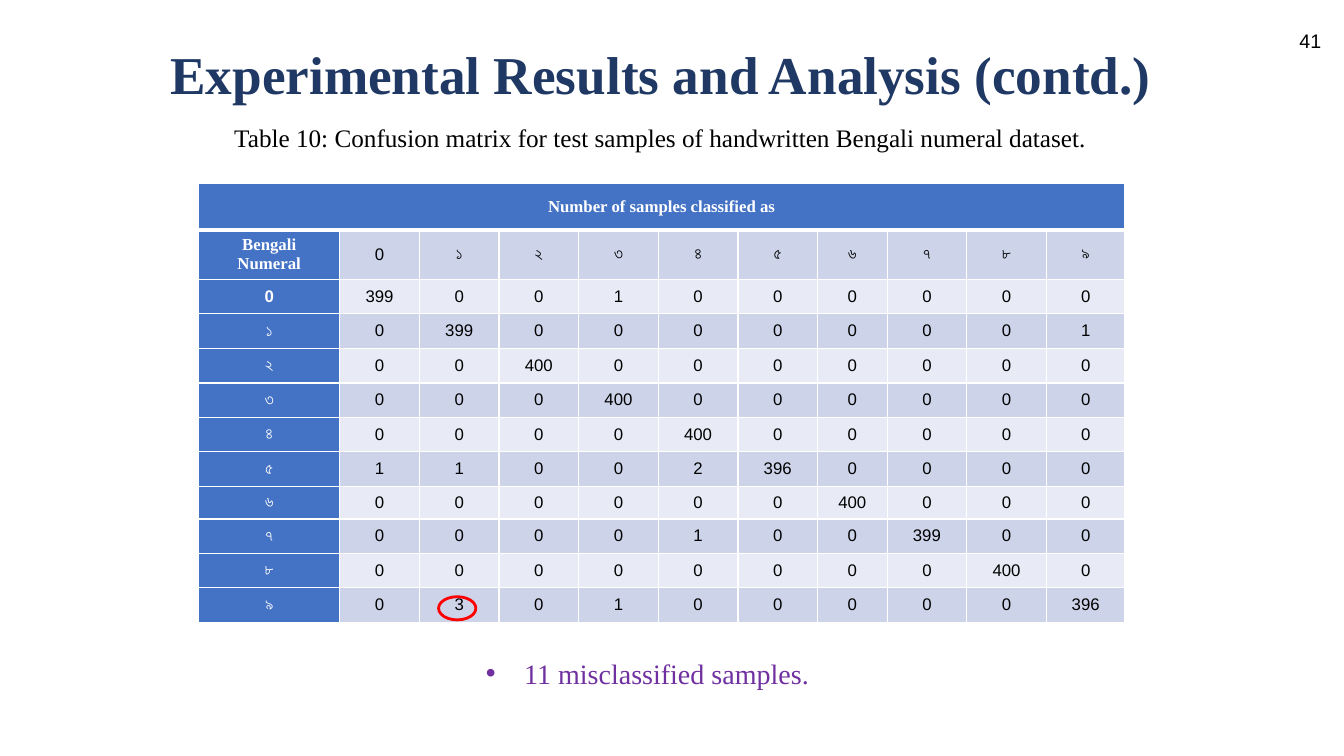
from lxml import etree
from pptx import Presentation
from pptx import util as u
from pptx.dml.color import RGBColor
from pptx.enum import shapes, text
from pptx.oxml import ns

PX = 9144  # EMU per px, 100 px to the inch
COLORS = {
    "navy": "1F3864", "black": "000000", "white": "FFFFFF", "purple": "7030A0",
    "red": "FF0000", "head": "4472C4", "dark": "CDD4EA", "light": "E8EBF5",
}
SERIF, SANS = "Times New Roman", "Arial"
CENTER = text.PP_ALIGN.CENTER
NUMERALS = "0১২৩৪৫৬৭৮৯"
CORRECT = [399, 399, 400, 400, 400, 396, 400, 399, 400, 396]
MISTAKES = {(0, 3): 1, (1, 9): 1, (5, 0): 1, (5, 1): 1, (5, 4): 2,
            (7, 4): 1, (9, 1): 3, (9, 3): 1}
COL_WIDTHS = [140] + [79] * 6 + [69, 79, 79, 78]
ROW_HEIGHTS = [46, 49, 34, 35, 34, 34, 34, 35, 32, 34, 34, 35]


def px(*values):
    return [u.Emu(v * PX) for v in values]


def rgb(name):
    return RGBColor.from_string(COLORS[name])


def write(tf, content, size=12, font=SERIF, color="black", bold=False,
          align=None, spacing=None):
    """Fill a text frame, one paragraph a line."""
    for i, line in enumerate(content.split("\n")):
        p = tf.add_paragraph() if i else tf.paragraphs[0]
        p.alignment = align
        p.line_spacing = spacing
        r = p.add_run()
        r.text = line
        r.font.size, r.font.name, r.font.bold = u.Pt(size), font, bold
        r.font.color.rgb = rgb(color)


def add_text(s, box, content, inset=5, anchor=text.MSO_ANCHOR.TOP, **fmt):
    tf = s.shapes.add_textbox(*px(*box)).text_frame
    tf.word_wrap = True
    tf.vertical_anchor = anchor
    tf.margin_left, tf.margin_right = px(10, 10)
    tf.margin_top, tf.margin_bottom = px(inset, inset)
    write(tf, content, **fmt)
    return tf


def add_bullet(p, color, indent):
    pPr = p._p.get_or_add_pPr()
    pPr.set("marL", str(indent * PX))
    pPr.set("indent", str(-indent * PX))
    clr = etree.SubElement(pPr, ns.qn("a:buClr"))
    etree.SubElement(clr, ns.qn("a:srgbClr"), val=COLORS[color])
    etree.SubElement(pPr, ns.qn("a:buFont"), typeface=SANS)
    etree.SubElement(pPr, ns.qn("a:buChar"), char="•")


def set_borders(cell, **widths):
    tcPr = cell._tc.get_or_add_tcPr()
    for side in "LRTB":
        ln = etree.SubElement(tcPr, ns.qn(f"a:ln{side}"),
                              w=str(u.Pt(widths.get(side, 1))))
        fill = etree.SubElement(ln, ns.qn("a:solidFill"))
        etree.SubElement(fill, ns.qn("a:srgbClr"), val=COLORS["white"])


def fill_cell(cell, content, fill, borders, **fmt):
    set_borders(cell, **borders)
    cell.fill.solid()
    cell.fill.fore_color.rgb = rgb(fill)
    cell.vertical_anchor = text.MSO_ANCHOR.MIDDLE
    cell.margin_left, cell.margin_right = px(7, 7)
    cell.margin_top = cell.margin_bottom = 0
    write(cell.text_frame, content, align=CENTER, **fmt)


def matrix_rows():
    yield ["Number of samples classified as"] + [""] * len(NUMERALS)
    yield ["Bengali\nNumeral", *NUMERALS]
    for i, numeral in enumerate(NUMERALS):
        yield [numeral] + [str(CORRECT[i] if i == j else MISTAKES.get((i, j), 0))
                           for j in range(len(NUMERALS))]


def add_matrix(s, left, top):
    size = px(left, top, sum(COL_WIDTHS), sum(ROW_HEIGHTS))
    table = s.shapes.add_table(len(ROW_HEIGHTS), len(COL_WIDTHS), *size).table
    for col, width in zip(table.columns, COL_WIDTHS):
        col.width = px(width)[0]
    for row, height in zip(table.rows, ROW_HEIGHTS):
        row.height = px(height)[0]
    for i, values in enumerate(matrix_rows()):
        borders = {0: {"B": 3}, 1: {"T": 3}}.get(i, {})
        for j, value in enumerate(values):
            head = i == 0 or j == 0
            fill = "head" if head else "dark" if i % 2 else "light"
            fill_cell(table.cell(i, j), value, fill, borders, bold=head,
                      color="white" if head else "black",
                      font=SERIF if i < 2 and head else SANS)
    table.cell(0, 0).merge(table.cell(0, len(COL_WIDTHS) - 1))


def add_ring(s, box):
    sp = s.shapes.add_shape(shapes.MSO_SHAPE.OVAL, *px(*box))
    sp.shadow.inherit = False
    sp.fill.background()
    sp.line.color.rgb = rgb("red")
    sp.line.width = u.Pt(2)


def main():
    prs = Presentation()
    prs.slide_width, prs.slide_height = px(1333, 750)
    s = prs.slides.add_slide(prs.slide_layouts[6])

    # Title and caption
    add_text(s, (0, 35, 1311, 80), "Experimental Results and Analysis (contd.)",
             inset=10, anchor=text.MSO_ANCHOR.BOTTOM, size=38, color="navy",
             bold=True, align=CENTER, spacing=0.9)
    add_text(s, (143, 116, 1024, 40),
             "Table 10: Confusion matrix for test samples of handwritten "
             "Bengali numeral dataset.", size=18, align=CENTER)

    # Confusion matrix
    add_matrix(s, 197, 182)

    # Slide number
    add_text(s, (1279, 24, 54, 34), "41", size=14, font=SANS)

    # Finding and the marked cell
    tf = add_text(s, (472, 646, 368, 44), "11 misclassified samples.",
                  size=20, color="purple")
    add_bullet(tf.paragraphs[0], "purple", 38)
    add_ring(s, (435, 592, 37, 23))

    prs.save("out.pptx")


if __name__ == "__main__":
    main()
